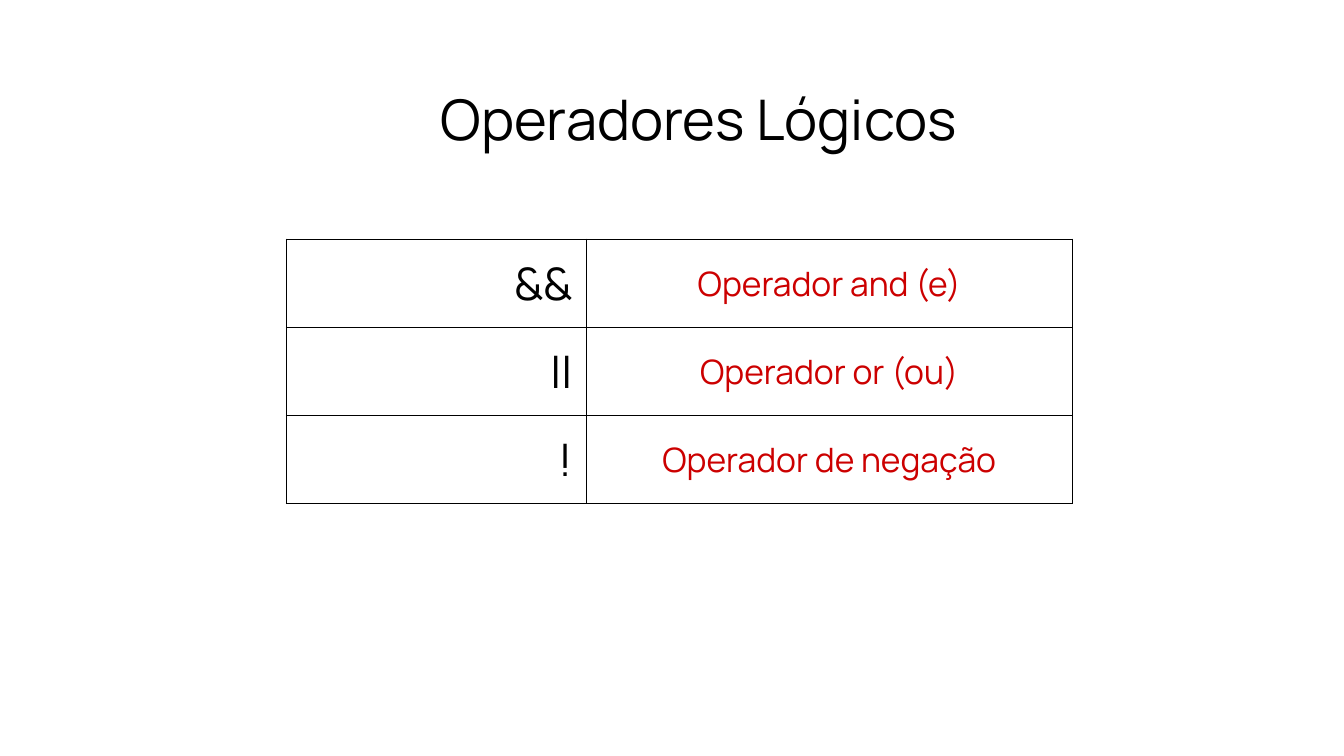
import pptx
import pptx.dml.color
import pptx.enum.text
import pptx.oxml.ns
import pptx.util
from lxml import etree

Pt = pptx.util.Pt
ALIGN = pptx.enum.text.PP_ALIGN
MIDDLE = pptx.enum.text.MSO_ANCHOR.MIDDLE
FONT = "Manrope"
INSET = Pt(7.2)
COLORS = {"ink": "000000", "description": "CC0000", "background": "FFFFFF"}
OPERATORS = [
    ("&&", "Operador and (e)"),
    ("||", "Operador or (ou)"),
    ("!", "Operador de negação"),
]
COLUMN_STYLES = [(24, "ink", ALIGN.RIGHT), (18, "description", ALIGN.CENTER)]


def rgb(name):
    """Return the named colour."""
    return pptx.dml.color.RGBColor.from_string(COLORS[name])


def write_text(text_frame, text, size, color, alignment):
    """Write one formatted paragraph."""
    text_frame.text = text
    paragraph = text_frame.paragraphs[0]
    paragraph.alignment = alignment
    font = paragraph.runs[0].font
    font.name, font.size = FONT, Pt(size)
    font.color.rgb = rgb(color)


def set_insets(target):
    """Give a cell or text frame equal insets and a middle anchor."""
    target.margin_left = target.margin_right = INSET
    target.margin_top = target.margin_bottom = INSET
    target.vertical_anchor = MIDDLE


def add_borders(cell, color, width):
    """Draw a solid line on all four sides of a cell."""
    qn = pptx.oxml.ns.qn
    properties = cell._tc.get_or_add_tcPr()
    for side in ("a:lnL", "a:lnR", "a:lnT", "a:lnB"):
        line = etree.SubElement(properties, qn(side), w=str(Pt(width)))
        fill = etree.SubElement(line, qn("a:solidFill"))
        etree.SubElement(fill, qn("a:srgbClr"), val=COLORS[color])


def add_title(slide, left, top, width, height):
    """Place the slide title."""
    shape = slide.shapes.add_textbox(Pt(left), Pt(top), Pt(width), Pt(height))
    shape.text_frame.word_wrap = True
    set_insets(shape.text_frame)
    write_text(shape.text_frame, "Operadores Lógicos", 30, "ink", ALIGN.CENTER)


def add_operator_table(slide, left, top, width, height):
    """Place the table of operators and their descriptions."""
    shape = slide.shapes.add_table(
        len(OPERATORS), 2, Pt(left), Pt(top), Pt(width), Pt(height))
    table = shape.table
    table.first_row = table.horz_banding = False
    symbol_width = 160.6
    for column, column_width in zip(table.columns, (symbol_width, width - symbol_width)):
        column.width = Pt(column_width)
    for row, texts in zip(table.rows, OPERATORS):
        row.height = Pt(height / len(OPERATORS))
        for cell, text, style in zip(row.cells, texts, COLUMN_STYLES):
            set_insets(cell)
            add_borders(cell, "ink", 0.75)
            cell.fill.background()
            write_text(cell.text_frame, text, *style)


def main():
    """Build and save the slide."""
    presentation = pptx.Presentation()
    presentation.slide_width, presentation.slide_height = Pt(720), Pt(405)
    slide = presentation.slides.add_slide(presentation.slide_layouts[6])
    slide.background.fill.solid()
    slide.background.fill.fore_color.rgb = rgb("background")
    add_operator_table(slide, 153.4, 128.2, 421.2, 141.45)
    add_title(slide, 136, 32.4, 476.6, 62)
    presentation.save("out.pptx")


if __name__ == "__main__":
    main()
